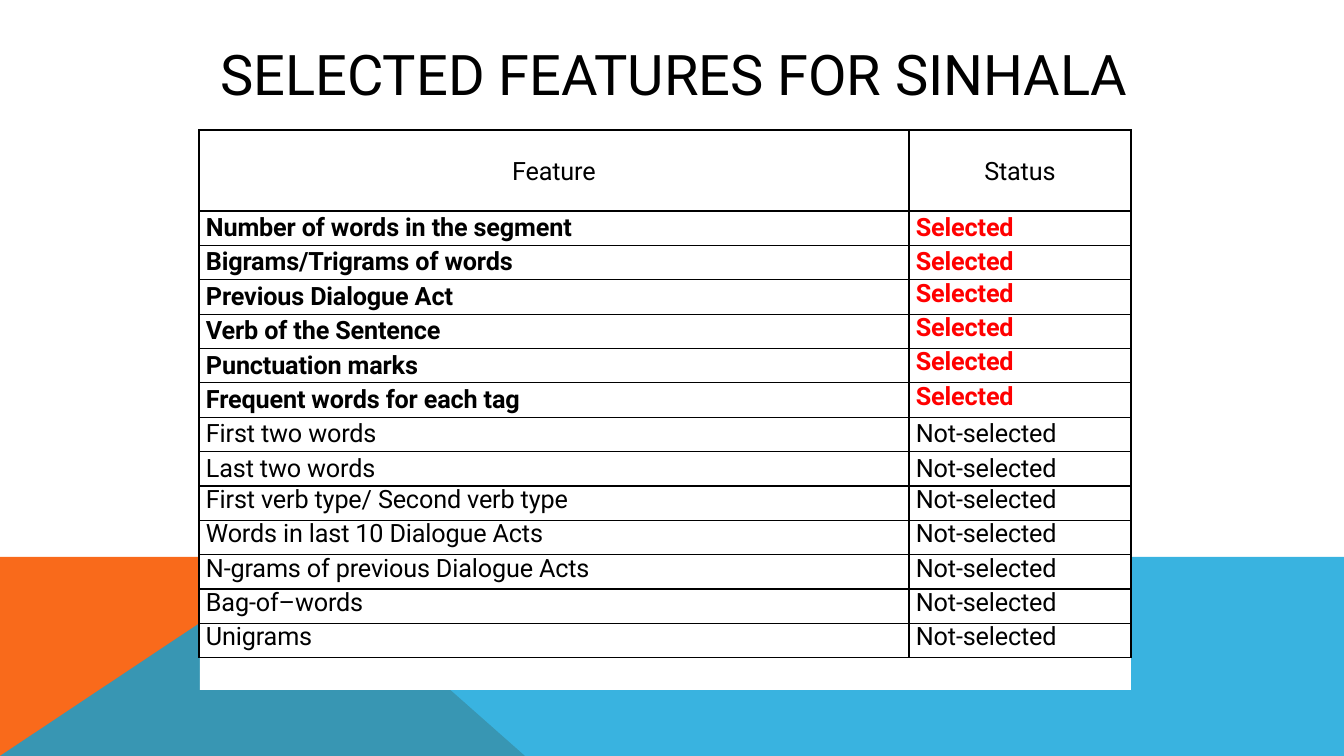
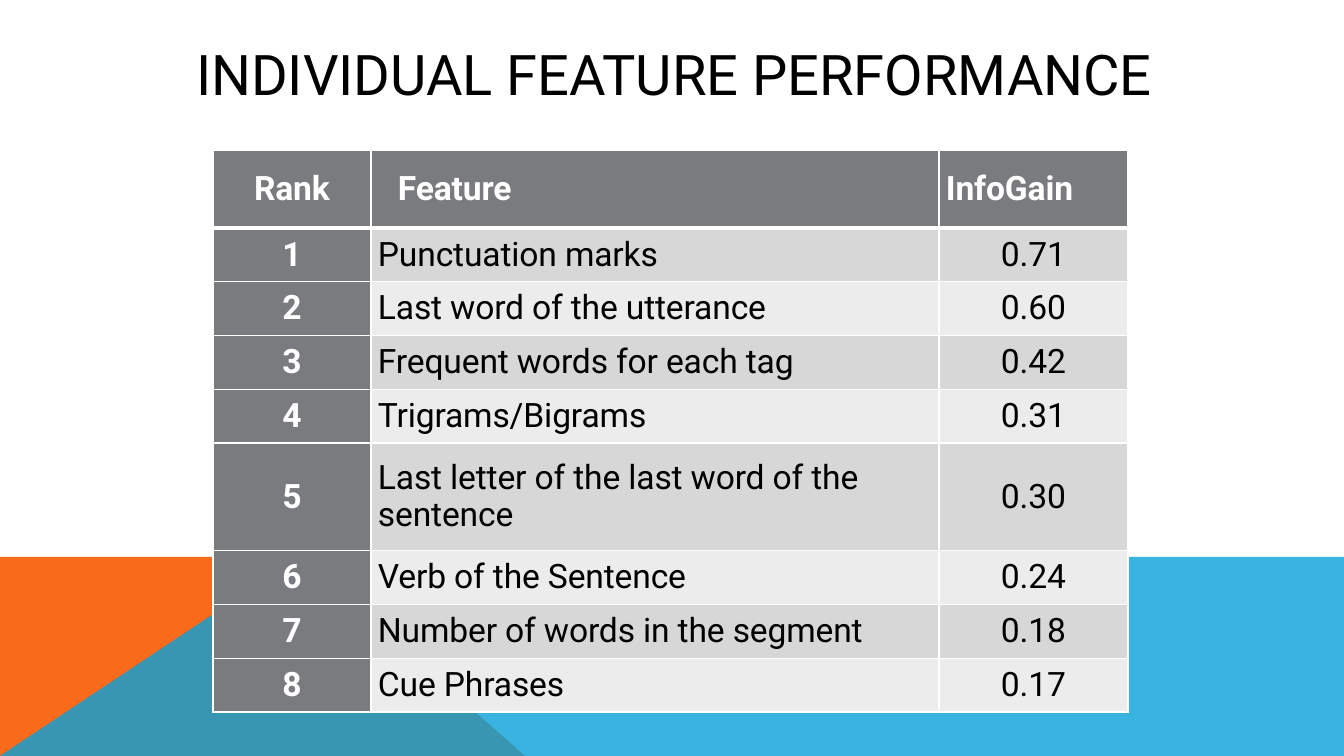
from pptx import Presentation
from pptx.dml.color import RGBColor
from pptx.enum.shapes import MSO_SHAPE
from pptx.enum.text import MSO_ANCHOR, PP_ALIGN
from pptx.oxml.ns import qn
from pptx.util import Emu, Pt
from lxml.etree import SubElement, Element

RECTANGLE = MSO_SHAPE.RECTANGLE
TOP, MIDDLE = MSO_ANCHOR.TOP, MSO_ANCHOR.MIDDLE
LEFT, CENTER = PP_ALIGN.LEFT, PP_ALIGN.CENTER

PX_PER_INCH = 100.8
SLIDE_W, SLIDE_H = 1344, 756
BAND_TOP = 557
FONT = "Roboto"
BLACK, WHITE, RED = "000000", "FFFFFF", "FF0000"
ORANGE, BLUE = "F96A1B", "08A1D9"
HEADER_GRAY, DARK_BAND, LIGHT_BAND = "797B7E", "D7D7D8", "ECECEC"

SELECTED = [
    "Number of words in the segment",
    "Bigrams/Trigrams of words",
    "Previous Dialogue Act",
    "Verb of the Sentence",
    "Punctuation marks",
    "Frequent words for each tag",
]
NOT_SELECTED = [
    "First two words",
    "Last two words",
    "First verb type/ Second verb type",
    "Words in last 10 Dialogue Acts",
    "N-grams of previous Dialogue Acts",
    "Bag-of–words",
    "Unigrams",
]
CENTERED_FEATURES = 8
CENTERED_STATUSES = (1, 2, 7, 8)

INFO_GAINS = [
    ("Punctuation marks", "0.71"),
    ("Last word of the utterance", "0.60"),
    ("Frequent words for each tag", "0.42"),
    ("Trigrams/Bigrams", "0.31"),
    ("Last letter of the last word of the sentence", "0.30"),
    ("Verb of the Sentence", "0.24"),
    ("Number of words in the segment", "0.18"),
    ("Cue Phrases", "0.17"),
]
ROW_WEIGHTS = [1, 1, 1, 1, 2, 1, 1, 1]


def px(length):
    """Turn pixels into EMU."""
    return Emu(round(length * 914400 / PX_PER_INCH))


def rgb(color):
    """Turn a hex string into a colour."""
    return RGBColor.from_string(color)


def style_text(paragraph, size, color, align, bold=False):
    """Set the font and alignment of a paragraph."""
    font = paragraph.font
    font.name, font.size, font.bold = FONT, Pt(size), bold
    font.color.rgb = rgb(color)
    paragraph.alignment = align


def paint(shape, color):
    """Give a shape a flat fill without line or shadow."""
    shape.fill.solid()
    shape.fill.fore_color.rgb = rgb(color)
    shape.line.fill.background()
    shape.shadow.inherit = False


def add_band(slide, points, color, opacity=100):
    """Draw one polygon of the footer."""
    corners = [(px(x), px(y)) for x, y in points]
    builder = slide.shapes.build_freeform(*corners[0], scale=1)
    builder.add_line_segments(corners[1:], close=True)
    band = builder.convert_to_shape()
    paint(band, color)
    if opacity < 100:
        tint = band.fill._xPr.find(".//" + qn("a:srgbClr"))
        SubElement(tint, qn("a:alpha")).set("val", str(opacity * 1000))


def add_titled_slide(prs, heading):
    """Add a slide with the shared footer bands and title."""
    slide = prs.slides.add_slide(prs.slide_layouts[6])
    add_band(slide, [(0, SLIDE_H), (0, BAND_TOP), (300, BAND_TOP),
                     (525, SLIDE_H)], ORANGE)
    add_band(slide, [(0, SLIDE_H), (299, BAND_TOP), (SLIDE_W, BAND_TOP),
                     (SLIDE_W, SLIDE_H)], BLUE, 80)
    title = slide.shapes.add_textbox(px(121), px(40), px(1106), px(66))
    frame = title.text_frame
    frame.word_wrap = True
    frame.vertical_anchor = MIDDLE
    frame.margin_top = frame.margin_bottom = 0
    frame.text = heading
    style_text(frame.paragraphs[0], 40, BLACK, CENTER)
    return slide


def set_borders(cell, color, top=1, bottom=1):
    """Outline a cell, with line widths in points."""
    properties = cell._tc.get_or_add_tcPr()
    widths = {"a:lnL": 1, "a:lnR": 1, "a:lnT": top, "a:lnB": bottom}
    for position, (side, width) in enumerate(widths.items()):
        line = Element(qn(side), w=str(Pt(width)))
        fill = SubElement(line, qn("a:solidFill"))
        SubElement(fill, qn("a:srgbClr"), val=color)
        properties.insert(position, line)


def fill_cell(cell, text, size, color, align=LEFT, bold=False, anchor=MIDDLE,
              fill=None, spacing=0.95):
    """Write and style the text of a table cell."""
    cell.text = text
    cell.vertical_anchor = anchor
    cell.margin_left = cell.margin_right = px(7)
    cell.margin_top = cell.margin_bottom = 0
    if fill:
        cell.fill.solid()
        cell.fill.fore_color.rgb = rgb(fill)
    else:
        cell.fill.background()
    paragraph = cell.text_frame.paragraphs[0]
    style_text(paragraph, size, color, align, bold)
    paragraph.line_spacing = spacing
    paragraph.font._element.set("spc", "-10")


def add_grid(slide, left, top, columns, header, body, weights):
    """Add a plain table whose body height is shared out by weight."""
    table = slide.shapes.add_table(
        len(weights) + 1, len(columns), px(left), px(top),
        px(sum(columns)), px(header + body)).table
    table.first_row = table.horz_banding = False
    for column, width in zip(table.columns, columns):
        column.width = px(width)
    heights = [header] + [body * weight / sum(weights) for weight in weights]
    for row, height in zip(table.rows, heights):
        row.height = px(height)
    return table


def build_selected_features(prs):
    """Build the slide listing which features were selected."""
    slide = add_titled_slide(prs, "SELECTED FEATURES FOR SINHALA")
    backing = slide.shapes.add_shape(
        RECTANGLE, px(200), px(552), px(931), px(138))
    paint(backing, WHITE)
    features = SELECTED + NOT_SELECTED
    table = add_grid(slide, 199, 130, [710, 222], 81, 447,
                     [1] * len(features))
    for column, label in enumerate(["Feature", "Status"]):
        fill_cell(table.cell(0, column), label, 18, BLACK, CENTER,
                  spacing=1.07)
    for row, feature in enumerate(features, 1):
        chosen = row <= len(SELECTED)
        fill_cell(table.cell(row, 0), feature, 18, BLACK, bold=chosen,
                  anchor=MIDDLE if row <= CENTERED_FEATURES else TOP)
        fill_cell(table.cell(row, 1),
                  "Selected" if chosen else "Not-selected", 18,
                  RED if chosen else BLACK, bold=chosen,
                  anchor=MIDDLE if row in CENTERED_STATUSES else TOP)
    for cell in table.iter_cells():
        set_borders(cell, BLACK)


def build_feature_performance(prs):
    """Build the slide ranking features by information gain."""
    slide = add_titled_slide(prs, "INDIVIDUAL FEATURE PERFORMANCE")
    table = add_grid(slide, 213, 150, [158, 568, 189], 78, 484, ROW_WEIGHTS)
    for column, label in enumerate(["Rank", "Feature", "InfoGain"]):
        cell = table.cell(0, column)
        fill_cell(cell, label, 24, WHITE, LEFT if column else CENTER, True,
                  fill=HEADER_GRAY)
        set_borders(cell, WHITE, bottom=3)
    indented = table.cell(0, 1).text_frame.paragraphs[0]
    indented._p.get_or_add_pPr().set("indent", str(px(20)))
    for row, (feature, gain) in enumerate(INFO_GAINS, 1):
        band = DARK_BAND if row % 2 else LIGHT_BAND
        rank_cell, feature_cell, gain_cell = table.rows[row].cells
        fill_cell(rank_cell, str(row), 24, WHITE, CENTER, True,
                  fill=HEADER_GRAY)
        fill_cell(feature_cell, feature, 24, BLACK, fill=band)
        fill_cell(gain_cell, gain, 24, BLACK, CENTER, fill=band)
        for cell in (rank_cell, feature_cell, gain_cell):
            set_borders(cell, WHITE, top=3 if row == 1 else 1)


def main():
    """Build the presentation and save it."""
    prs = Presentation()
    prs.slide_width, prs.slide_height = px(SLIDE_W), px(SLIDE_H)
    build_selected_features(prs)
    build_feature_performance(prs)
    prs.save("out.pptx")


if __name__ == "__main__":
    main()
